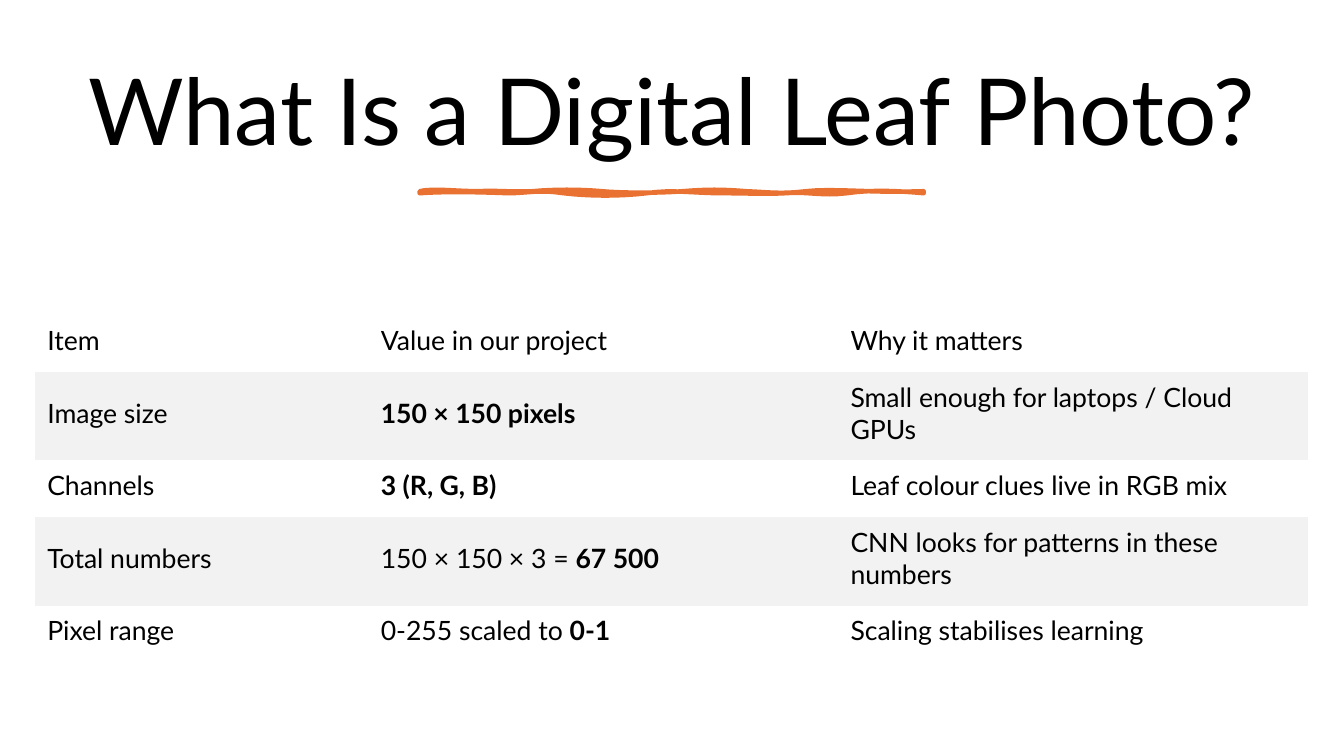
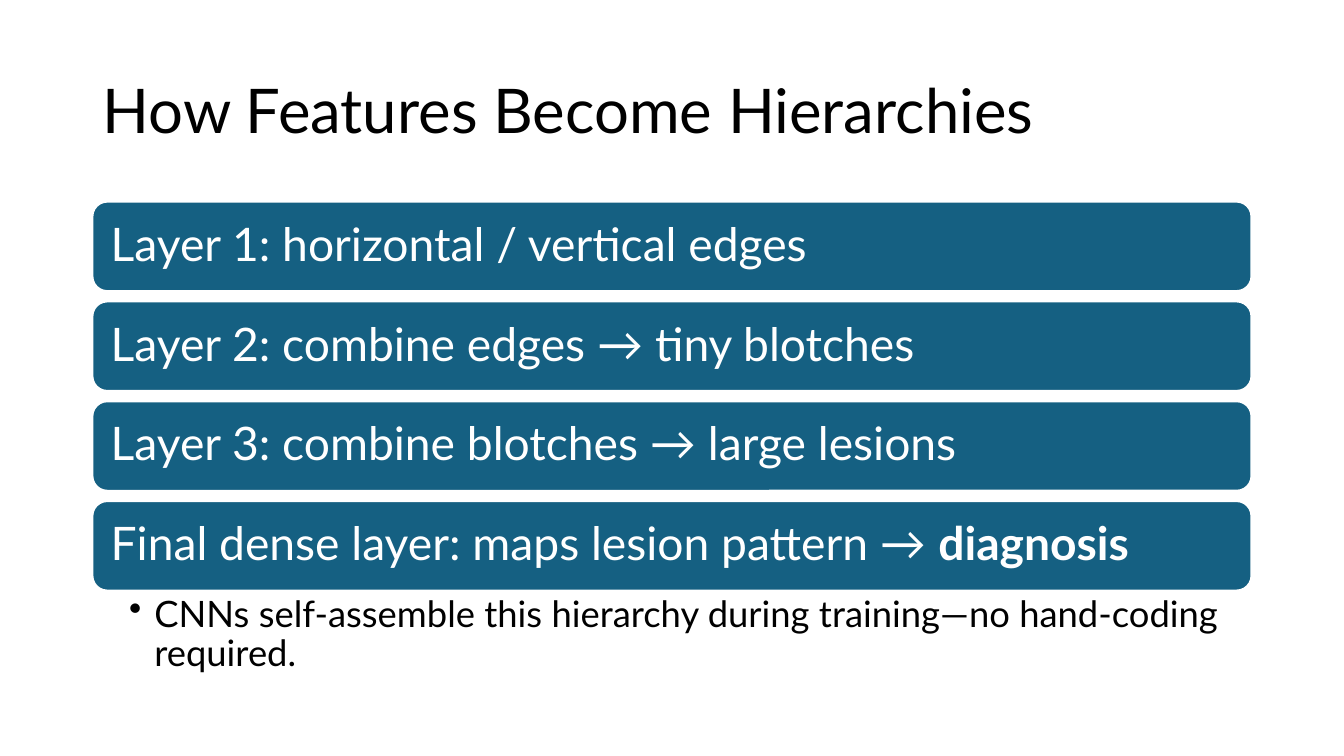
from dataclasses import dataclass

from pptx import Presentation
from pptx.dml.color import RGBColor
from pptx.enum.shapes import MSO_SHAPE
from pptx.enum.text import MSO_ANCHOR, MSO_AUTO_SIZE, PP_ALIGN
from pptx.oxml.ns import qn
from pptx.util import Pt

LEFT, CENTER = PP_ALIGN.LEFT, PP_ALIGN.CENTER
TOP, MIDDLE = MSO_ANCHOR.TOP, MSO_ANCHOR.MIDDLE
ROUND_RECT = MSO_SHAPE.ROUNDED_RECTANGLE
NO_FIT = MSO_AUTO_SIZE.NONE
TITLE_ONLY = 5
PLAIN_TABLE_STYLE = "{2D5ABB26-0587-4C30-8999-92F81FD0307C}"


@dataclass(frozen=True)
class Theme:
    font: str = "Lato"
    ink: RGBColor = RGBColor(0x00, 0x00, 0x00)
    paper: RGBColor = RGBColor(0xFF, 0xFF, 0xFF)
    accent: RGBColor = RGBColor(0xE9, 0x71, 0x32)
    bar: RGBColor = RGBColor(0x15, 0x60, 0x82)
    stripe: RGBColor = RGBColor(0xF2, 0xF2, 0xF2)
    hero_title: float = 66
    title: float = 44
    layer: float = 33
    note: float = 26
    cell: float = 19


THEME = Theme()

TABLE_ROWS = [
    ("Item", "Value in our project", "Why it matters"),
    ("Image size", "**150 × 150 pixels**", "Small enough for laptops / Cloud GPUs"),
    ("Channels", "**3 (R, G, B)**", "Leaf colour clues live in RGB mix"),
    ("Total numbers", "150 × 150 × 3 = **67 500**", "CNN looks for patterns in these numbers"),
    ("Pixel range", "0-255 scaled to **0-1**", "Scaling stabilises learning"),
]
COLUMN_WIDTHS = (238.3, 335.5, 335.5)
ROW_HEIGHTS = (40.3, 63.4, 40.3, 63.4, 40.3)

LAYERS = [
    "Layer 1: horizontal / vertical edges",
    "Layer 2: combine edges → tiny blotches",
    "Layer 3: combine blotches → large lesions",
    "Final dense layer: maps lesion pattern → **diagnosis**",
]
NOTE = "CNNs self-assemble this hierarchy during training—no hand-coding required."

# Bézier segments of the brush stroke: two control points and an end point.
STROKE_TOP = [
    ((8.6, -2.2), (27.4, 0), (41, 0)),
    ((55, -0.7), (67, 0.7), (81, 0)),
    ((96, -1.4), (114, -1.4), (130, 0)),
    ((145, 1.4), (171, 1.4), (188, 0)),
    ((206, -1.4), (215, -1.4), (233, 0)),
    ((250, 0.7), (258, 2.2), (276, 0)),
    ((295, -2.2), (325, 1.4), (360, 0)),
]
STROKE_BOTTOM = [
    ((345, 0), (323, -1.4), (305, 1.4)),
    ((287, 3.6), (277, 0), (261, 1.4)),
    ((245, 2.2), (238, 1.4), (217, 1.4)),
    ((195, 1.4), (181, -1.4), (162, 1.4)),
    ((143, 3.6), (122, 3.6), (103, 1.4)),
    ((85, -1.4), (77, 1.4), (63, 1.4)),
    ((48, 0.7), (16, 0), (0, 1.4)),
]


def write_text(tf, text, *, size, color=THEME.ink, align=LEFT, anchor=MIDDLE,
               margins=(7.2, 3.6, 7.2, 3.6), spacing=None, bullet_indent=None, frame=None):
    """Fill a text frame; ** toggles bold. A table cell is its own frame."""
    if frame is None:
        frame = tf
        tf.word_wrap, tf.auto_size = True, NO_FIT
    frame.vertical_anchor = anchor
    frame.margin_left, frame.margin_top, frame.margin_right, frame.margin_bottom = map(Pt, margins)
    p = tf.paragraphs[0]
    p.alignment = align
    if spacing:
        p.line_spacing = spacing
    if bullet_indent:
        pPr = p._p.get_or_add_pPr()
        pPr.set("marL", str(Pt(bullet_indent)))
        pPr.set("indent", str(-Pt(bullet_indent)))
        pPr.append(pPr.makeelement(qn("a:buChar"), {"char": "•"}))
    for i, part in enumerate(text.split("**")):
        if part:
            r = p.add_run()
            r.text = part
            r.font.name, r.font.size = THEME.font, Pt(size)
            r.font.bold = i % 2 == 1
            r.font.color.rgb = color


def add_titled_slide(prs, text, box, *, size, align=LEFT):
    s = prs.slides.add_slide(prs.slide_layouts[TITLE_ONLY])
    s.background.fill.solid()
    s.background.fill.fore_color.rgb = THEME.paper
    sp = s.shapes.title
    sp.left, sp.top, sp.width, sp.height = map(Pt, box)
    write_text(sp.text_frame, text, size=size, align=align, spacing=0.9)
    return s


def curve_points(start, segments, steps=8):
    """Sample a chain of cubic Bézier segments."""
    points = []
    for c1, c2, end in segments:
        for k in range(1, steps + 1):
            t = k / steps
            u = 1 - t
            points.append(tuple(
                u ** 3 * a + 3 * u * u * t * b + 3 * u * t * t * c + t ** 3 * d
                for a, b, c, d in zip(start, c1, c2, end)))
        start = end
    return points


def add_brush_stroke(s, left, top):
    corner = (360, 1.4)
    outline = curve_points((0, 0), STROKE_TOP) + [corner] + curve_points(corner, STROKE_BOTTOM)
    builder = s.shapes.build_freeform(Pt(left), Pt(top))
    builder.add_line_segments([(Pt(left + x), Pt(top + y)) for x, y in outline])
    sp = builder.convert_to_shape()
    sp.shadow.inherit = False
    sp.fill.solid()
    sp.fill.fore_color.rgb = THEME.accent
    sp.line.color.rgb = THEME.accent
    sp.line.width = Pt(3.25)


def add_striped_table(s, left, top):
    table = s.shapes.add_table(len(TABLE_ROWS), len(COLUMN_WIDTHS), Pt(left), Pt(top),
                               Pt(sum(COLUMN_WIDTHS)), Pt(sum(ROW_HEIGHTS))).table
    table.first_row = table.horz_banding = False
    table._tbl.tblPr.find(qn("a:tableStyleId")).text = PLAIN_TABLE_STYLE
    for column, width in zip(table.columns, COLUMN_WIDTHS):
        column.width = Pt(width)
    for i, (texts, height) in enumerate(zip(TABLE_ROWS, ROW_HEIGHTS)):
        table.rows[i].height = Pt(height)
        for j, text in enumerate(texts):
            cell = table.cell(i, j)
            if i % 2:
                cell.fill.solid()
                cell.fill.fore_color.rgb = THEME.stripe
            else:
                cell.fill.background()
            write_text(cell.text_frame, text, size=THEME.cell,
                       margins=(8.6, 4.3, 8.6, 8.6), frame=cell)


def add_layer_bars(s, left, top, width, *, height=64, gap=7.3):
    for i, text in enumerate(LAYERS):
        sp = s.shapes.add_shape(ROUND_RECT, Pt(left), Pt(top + i * (height + gap)),
                                Pt(width), Pt(height))
        sp.shadow.inherit = False
        sp.fill.solid()
        sp.fill.fore_color.rgb = THEME.bar
        sp.line.color.rgb = THEME.paper
        sp.line.width = Pt(1.5)
        write_text(sp.text_frame, text, size=THEME.layer, color=THEME.paper,
                   margins=(10, 10, 10, 10), spacing=0.9)


def add_note(s, left, top, width, height):
    sp = s.shapes.add_textbox(Pt(left), Pt(top), Pt(width), Pt(height))
    write_text(sp.text_frame, NOTE, size=THEME.note, anchor=TOP, spacing=0.9,
               margins=(26.3, 3.6, 18.7, 3.6), bullet_indent=18)


def build_photo_slide(prs):
    s = add_titled_slide(prs, "What Is a Digital Leaf Photo?", (50.4, 33.1, 859, 98.6),
                         size=THEME.hero_title, align=CENTER)
    add_brush_stroke(s, 299.8, 136.6)
    add_striped_table(s, 25.2, 225.2)


def build_hierarchy_slide(prs):
    left, width = 66, 828
    s = add_titled_slide(prs, "How Features Become Hierarchies", (left, 28.8, width, 104.4),
                         size=THEME.title)
    add_layer_bars(s, left, 144, width)
    add_note(s, left, 422, width, 64.8)


def main():
    prs = Presentation()
    prs.slide_width, prs.slide_height = Pt(960), Pt(540)
    build_photo_slide(prs)
    build_hierarchy_slide(prs)
    prs.save("out.pptx")


if __name__ == "__main__":
    main()
